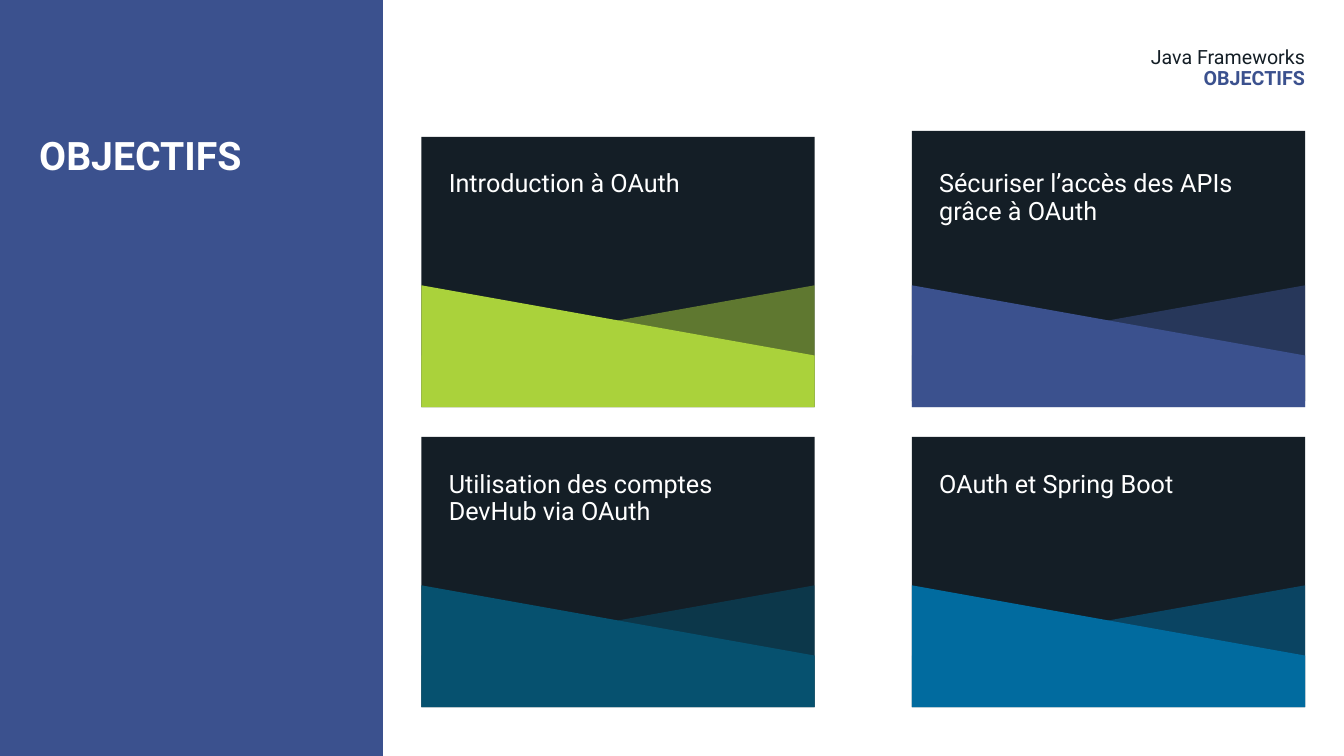
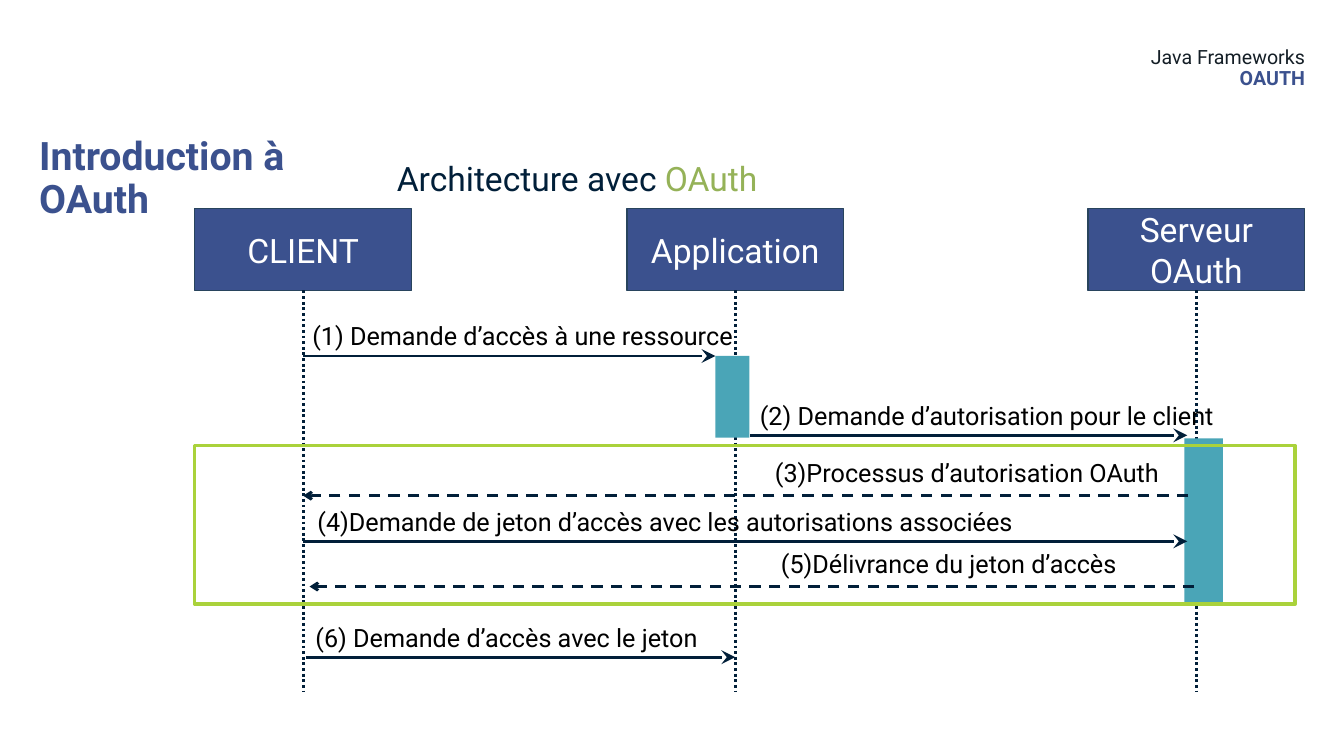
from dataclasses import dataclass

from lxml.etree import SubElement
from pptx import Presentation
from pptx.dml.color import RGBColor
from pptx.enum.dml import MSO_LINE_DASH_STYLE as Dash
from pptx.enum.shapes import MSO_CONNECTOR as Connector, MSO_SHAPE as Preset
from pptx.enum.text import MSO_ANCHOR as Anchor, MSO_AUTO_SIZE as AutoSize, PP_ALIGN as Align
from pptx.oxml.ns import qn
from pptx.shapes.autoshape import Shape
from pptx.slide import Slide
from pptx.text.text import TextFrame
from pptx.util import Cm, Pt

# Shared style
FONT = "Roboto"
COLORS = {
    "white": "FFFFFF", "black": "000000", "ink": "141E26", "navy": "011F39",
    "indigo": "3B518E", "edge": "28445D", "lime": "AAD23B", "olive": "95B258",
    "teal": "4AA5B7", "petrol": "06516F", "blue": "016B9F",
}

# Objectives grid, in cm
CARD_LEFTS = (10.62, 22.98)
CARD_TOP, CARD_PITCH = 3.45, 7.56
CARD_W, CARD_H = 9.91, 6.81
WEDGE_H, WEDGE_MID = 3.07, 1.77

# Sequence diagram, in cm
CLIENT_X, APP_X, SERVER_X = 7.64, 18.53, 30.15
ACTOR_TOP, ACTOR_W, ACTOR_H = 5.26, 5.46, 2.06
LIFELINE_END = 17.43
LABEL_H = 1.27


@dataclass(frozen=True)
class Objective:
    label: str
    color: str
    lines: int = 1
    lift: float = 0


@dataclass(frozen=True)
class Actor:
    name: str
    x: float


@dataclass(frozen=True)
class Activation:
    left: float
    top: float
    width: float
    height: float


@dataclass(frozen=True)
class Message:
    label: str
    label_x: float
    label_w: float
    start: float
    end: float
    y: float
    reply: bool = False


OBJECTIVES = (
    Objective("Introduction à OAuth", "lime"),
    Objective("Sécuriser l’accès des APIs grâce à OAuth", "indigo", lines=2, lift=0.15),
    Objective("Utilisation des comptes DevHub via OAuth", "petrol", lines=2),
    Objective("OAuth et Spring Boot", "blue"),
)
ACTORS = (
    Actor("CLIENT", CLIENT_X),
    Actor("Application", APP_X),
    Actor("Serveur OAuth", SERVER_X),
)
ACTIVATIONS = (
    Activation(18.03, 8.97, 0.86, 2.06),
    Activation(29.85, 11.05, 0.97, 4.17),
)
MESSAGES = (
    Message("(1) Demande d’accès à une ressource", 7.62, 11.4, CLIENT_X, 18.03, 8.97),
    Message("(2) Demande d’autorisation pour le client", 18.9, 12.3, 18.9, 29.92, 10.97),
    Message("(3)Processus d’autorisation OAuth", 19.28, 10.5, 29.95, CLIENT_X, 12.49,
            reply=True),
    Message("(4)Demande de jeton d’accès avec les autorisations associées",
            7.75, 18.4, CLIENT_X, 29.92, 13.64),
    Message("(5)Délivrance du jeton d’accès", 19.43, 9.3, 30.1, 7.8, 14.78, reply=True),
    Message("(6) Demande d’accès avec le jeton", 7.7, 10.5, 7.7, APP_X, 16.56),
)


def rgb(color: str) -> RGBColor:
    return RGBColor.from_string(COLORS[color])


def write(frame: TextFrame, text: str, *, size: float, color: str, bold: bool = False,
          align: Align = Align.LEFT, spacing: float = 1.0, new_line: bool = False) -> None:
    """Append formatted text to the last paragraph, or to a new one."""
    paragraph = frame.add_paragraph() if new_line else frame.paragraphs[-1]
    paragraph.alignment = align
    paragraph.line_spacing = spacing
    run = paragraph.add_run()
    run.text = text
    run.font.name = FONT
    run.font.size = Pt(size)
    run.font.bold = bold
    run.font.color.rgb = rgb(color)


def add_frame(slide: Slide, left: float, top: float, width: float, height: float, *,
              inset: bool = True, anchor: Anchor = Anchor.TOP) -> TextFrame:
    frame = slide.shapes.add_textbox(Cm(left), Cm(top), Cm(width), Cm(height)).text_frame
    frame.word_wrap = True
    frame.vertical_anchor = anchor
    if not inset:
        frame.margin_left = frame.margin_right = frame.margin_top = frame.margin_bottom = 0
    return frame


def paint(shape: Shape, fill: str | None, line: str | None = None, weight: float = 1) -> None:
    shape.shadow.inherit = False
    if fill:
        shape.fill.solid()
        shape.fill.fore_color.rgb = rgb(fill)
    else:
        shape.fill.background()
    if line:
        shape.line.color.rgb = rgb(line)
        shape.line.width = Pt(weight)
    else:
        shape.line.fill.background()


def add_rect(slide: Slide, left: float, top: float, width: float, height: float,
             fill: str | None, line: str | None = None, weight: float = 1) -> Shape:
    rect = slide.shapes.add_shape(Preset.RECTANGLE, Cm(left), Cm(top), Cm(width), Cm(height))
    paint(rect, fill, line, weight)
    return rect


def add_line(slide: Slide, start: tuple[float, float], end: tuple[float, float],
             dash: Dash | None = None, arrow: str | None = None, arrow_size: str = "med") -> None:
    line = slide.shapes.add_connector(Connector.STRAIGHT, *map(Cm, start), *map(Cm, end))
    line.line.color.rgb = rgb("navy")
    line.line.width = Pt(2)
    if dash:
        line.line.dash_style = dash
    if arrow:
        SubElement(line.element.spPr.find(qn("a:ln")), qn("a:tailEnd"),
                   type=arrow, w=arrow_size, len=arrow_size)
    SubElement(line.element.spPr, qn("a:effectLst"))


def add_heading(slide: Slide, title: str, color: str, section: str) -> None:
    """Slide title on the left, course name and section at the top right."""
    write(add_frame(slide, 0.99, 3.45, 7.92, 12.29, inset=False), title,
          size=28, color=color, bold=True, spacing=0.9)
    header = add_frame(slide, 10.63, 1.19, 22.26, 1.5, inset=False)
    write(header, "Java Frameworks", size=14, color="ink", align=Align.RIGHT, spacing=0.9)
    write(header, section, size=14, color="indigo", bold=True, align=Align.RIGHT,
          spacing=0.9, new_line=True)


def add_wedge(slide: Slide, low_x: float, high_x: float, top: float, color: str,
              opacity: int = 100) -> None:
    """Band whose upper edge rises from low_x to high_x."""
    bottom = top + WEDGE_H
    outline = slide.shapes.build_freeform(Cm(low_x), Cm(top + WEDGE_MID))
    corners = ((high_x, top), (high_x, bottom), (low_x, bottom))
    outline.add_line_segments([(Cm(x), Cm(y)) for x, y in corners], close=True)
    wedge = outline.convert_to_shape()
    paint(wedge, color)
    if opacity < 100:
        tint = wedge.element.spPr.find(qn("a:solidFill"))[0]
        SubElement(tint, qn("a:alpha"), val=str(opacity * 1000))


def add_card(slide: Slide, objective: Objective, left: float, top: float) -> None:
    right, wedge_top = left + CARD_W, top + CARD_H - WEDGE_H
    add_rect(slide, left, top - objective.lift, CARD_W, CARD_H, "ink")
    add_wedge(slide, left, right, wedge_top, objective.color, opacity=50)
    add_wedge(slide, right, left, wedge_top, objective.color)
    label = add_frame(slide, left + 0.44, top + 0.74, 8.9, 0.23 + 0.71 * objective.lines)
    label.auto_size = AutoSize.SHAPE_TO_FIT_TEXT
    write(label, objective.label, size=18, color="white", spacing=0.9)


def add_actor(slide: Slide, actor: Actor) -> None:
    box = add_rect(slide, actor.x - ACTOR_W / 2, ACTOR_TOP, ACTOR_W, ACTOR_H, "indigo", "edge")
    box.text_frame.word_wrap = True
    box.text_frame.vertical_anchor = Anchor.MIDDLE
    write(box.text_frame, actor.name, size=24, color="white", align=Align.CENTER)
    add_line(slide, (actor.x, ACTOR_TOP + ACTOR_H), (actor.x, LIFELINE_END),
             dash=Dash.ROUND_DOT)


def add_message(slide: Slide, message: Message) -> None:
    add_line(slide, (message.start, message.y), (message.end, message.y),
             dash=Dash.DASH if message.reply else None,
             arrow="arrow" if message.reply else "stealth",
             arrow_size="med" if message.reply else "lg")
    label_bottom = message.y - (0.08 if message.reply else 0)
    label = add_frame(slide, message.label_x, label_bottom - LABEL_H, message.label_w, LABEL_H,
                      anchor=Anchor.BOTTOM)
    write(label, message.label, size=18, color="black")


def build_objectives(slide: Slide) -> None:
    add_rect(slide, 0, 0, 9.65, 19.05, "indigo")
    add_heading(slide, "OBJECTIFS", "white", "OBJECTIFS")
    for index, objective in enumerate(OBJECTIVES):
        row, column = divmod(index, len(CARD_LEFTS))
        add_card(slide, objective, CARD_LEFTS[column], CARD_TOP + row * CARD_PITCH)


def build_architecture(slide: Slide) -> None:
    subtitle = add_frame(slide, 9.75, 3.66, 23.14, 8.76)
    write(subtitle, "Architecture avec ", size=24, color="navy", spacing=1.2)
    write(subtitle, "OAuth", size=24, color="olive", spacing=1.2)
    add_heading(slide, "Introduction à OAuth", "indigo", "OAUTH")
    for actor in ACTORS:
        add_actor(slide, actor)
    for bar in ACTIVATIONS:
        add_rect(slide, bar.left, bar.top, bar.width, bar.height, "teal")
    for message in MESSAGES:
        add_message(slide, message)
    # Frame around the token exchange
    add_rect(slide, 4.9, 11.23, 27.74, 3.99, None, "lime", 2.5)


def main() -> None:
    deck = Presentation()
    deck.slide_width, deck.slide_height = Cm(33.87), Cm(19.05)
    blank = deck.slide_layouts[6]
    for build in (build_objectives, build_architecture):
        build(deck.slides.add_slide(blank))
    deck.save("out.pptx")


if __name__ == "__main__":
    main()
